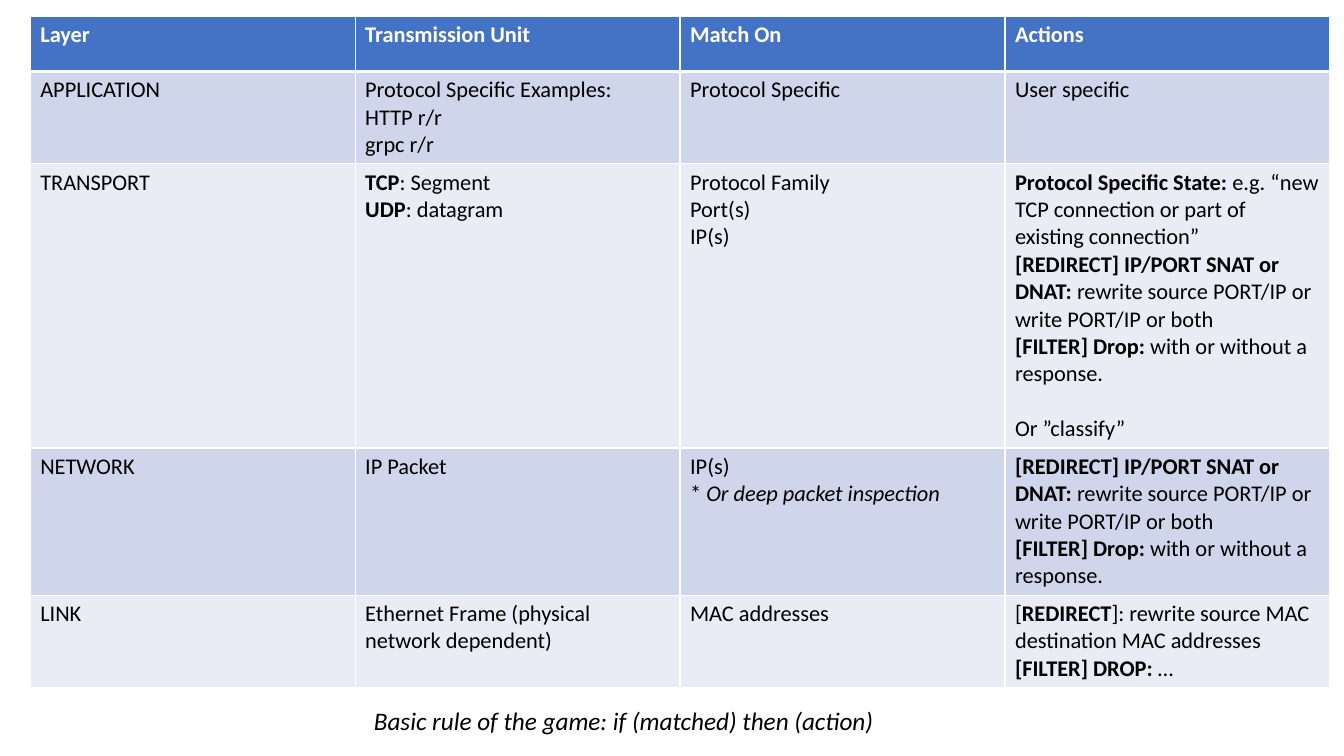
from lxml.etree import SubElement
from pptx import Presentation
from pptx.dml.color import RGBColor
from pptx.oxml.ns import qn
from pptx.util import Inches, Pt

FONT = "Calibri"
WHITE, BLACK = "FFFFFF", "000000"
HEADER_FILL = "4472C4"
BAND_FILLS = ("CFD5EA", "E9EBF5")
ROW_HEIGHTS = (0.55, 0.91, 2.82, 1.46, 0.91)
BLANK_LINE = Pt(19.5)

# A cell is a list of paragraphs; a paragraph is a list of (text, style) spans,
# where the style is "b" for bold, "i" for italic or "" for plain.
REWRITE_AND_DROP = [
    [("[REDIRECT] IP/PORT SNAT or DNAT: ", "b"),
     ("rewrite source PORT/IP or write PORT/IP or both", "")],
    [("[FILTER] Drop:", "b"), (" with or without a response.", "")],
]


def plain(*lines):
    return [[(line, "")] for line in lines]


HEADINGS = [[[(name, "b")]] for name in ("Layer", "Transmission Unit", "Match On", "Actions")]
LAYERS = [
    [plain("APPLICATION"),
     plain("Protocol Specific Examples:", "HTTP r/r", "grpc r/r"),
     plain("Protocol Specific"),
     plain("User specific")],
    [plain("TRANSPORT"),
     [[("TCP", "b"), (": Segment", "")], [("UDP", "b"), (": datagram", "")]],
     plain("Protocol Family", "Port(s)", "IP(s)"),
     [[("Protocol Specific State: ", "b"),
       ("e.g. “new TCP connection or part of existing connection”", "")],
      *REWRITE_AND_DROP,
      *plain("Or ”classify”")]],
    [plain("NETWORK"),
     plain("IP Packet"),
     [[("IP(s)", "")], [("* ", ""), ("Or deep packet inspection", "i")]],
     REWRITE_AND_DROP],
    [plain("LINK"),
     plain("Ethernet Frame (physical network dependent)"),
     plain("MAC addresses"),
     [[("[", ""), ("REDIRECT", "b"),
       ("]: rewrite source MAC destination MAC addresses", "")],
      [("[FILTER] DROP: ", "b"), ("…", "")]]],
]


def color(value):
    return RGBColor.from_string(value)


def write(frame, paragraphs, size, text_color):
    for index, spans in enumerate(paragraphs):
        para = frame.paragraphs[0] if index == 0 else frame.add_paragraph()
        for text, style in spans:
            span = para.add_run()
            span.text = text
            span.font.name = FONT
            span.font.size = Pt(size)
            span.font.bold = style == "b"
            span.font.italic = style == "i"
            span.font.color.rgb = color(text_color)


def set_borders(cell, **widths):
    """Draw white cell borders; widths in points are keyed by side: L, R, T, B."""
    properties = cell._tc.get_or_add_tcPr()
    for position, side in enumerate("LRTB"):
        line = SubElement(properties, qn(f"a:ln{side}"), w=str(Pt(widths.get(side, 1))))
        fill = SubElement(line, qn("a:solidFill"))
        SubElement(fill, qn("a:srgbClr"), val=WHITE)
        properties.insert(position, line)


def add_layer_table(page, left, top, width):
    rows = [HEADINGS, *LAYERS]
    frame = page.shapes.add_table(len(rows), len(HEADINGS), Inches(left), Inches(top),
                                  Inches(width), Inches(sum(ROW_HEIGHTS)))
    table = frame.table
    for column in table.columns:
        column.width = Inches(width / len(HEADINGS))
    for row_index, contents in enumerate(rows):
        table.rows[row_index].height = Inches(ROW_HEIGHTS[row_index])
        is_header = row_index == 0
        fill = HEADER_FILL if is_header else BAND_FILLS[(row_index - 1) % 2]
        for column_index, paragraphs in enumerate(contents):
            cell = table.cell(row_index, column_index)
            cell.fill.solid()
            cell.fill.fore_color.rgb = color(fill)
            set_borders(cell, T=3 if row_index == 1 else 1, B=3 if is_header else 1)
            write(cell.text_frame, paragraphs, 16, WHITE if is_header else BLACK)
    classify = table.cell(2, 3).text_frame.paragraphs[-1]
    classify.space_before = BLANK_LINE


def add_rule(page, left, top, width, height):
    box = page.shapes.add_textbox(Inches(left), Inches(top), Inches(width), Inches(height))
    box.text_frame.word_wrap = True
    rule = "Basic rule of the game: if (matched) then (action)"
    write(box.text_frame, [[(rule, "i")]], 18, BLACK)


def main():
    deck = Presentation()
    deck.slide_width, deck.slide_height = Inches(13.33), Inches(7.5)
    page = deck.slides.add_slide(deck.slide_layouts[6])
    add_layer_table(page, 0.3, 0.16, 12.89)
    add_rule(page, 3.61, 6.95, 6.07, 0.4)
    deck.save("out.pptx")


if __name__ == "__main__":
    main()
